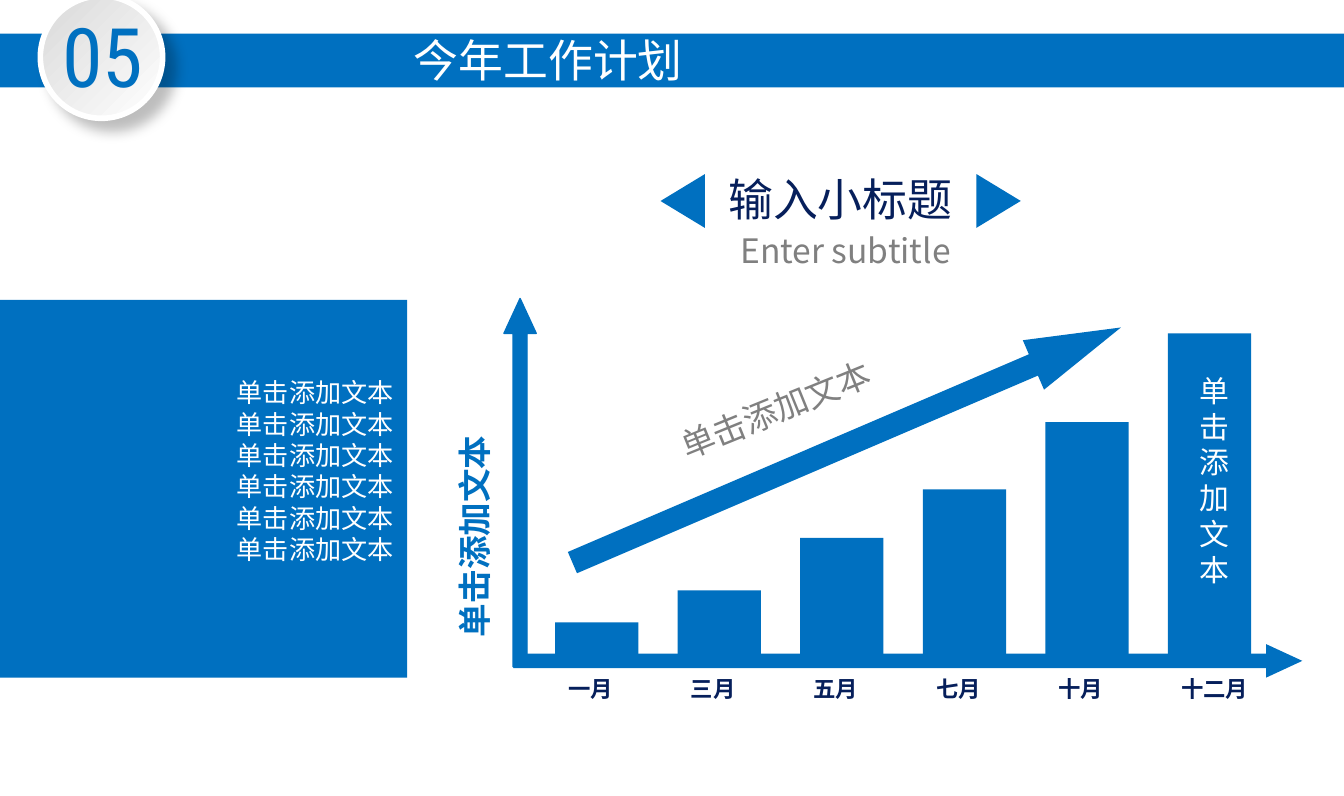
import lxml.etree
import pptx
import pptx.dml.color
import pptx.enum.shapes
import pptx.enum.text
import pptx.oxml
import pptx.oxml.ns
import pptx.util

KIND = pptx.enum.shapes.MSO_SHAPE
ALIGN = pptx.enum.text.PP_ALIGN
ANCHOR = pptx.enum.text.MSO_ANCHOR
SANS, ROBOTO = "Noto Sans CJK SC", "Roboto Condensed"
BLUE, NAVY, GREY, WHITE = "0070C0", "061F5B", "808080", "FFFFFF"
COLS, ROWS = 100, 59.2
PROMPT = "单击添加文本"


def color(code):
    return pptx.dml.color.RGBColor.from_string(code)


class Board:
    """Places elements on a grid of COLS by ROWS square cells."""

    def __init__(self, deck):
        self.cell = deck.slide_width / COLS
        self.slide = deck.slides.add_slide(deck.slide_layouts[6])

    def box(self, *sides):
        return [round(side * self.cell) for side in sides]

    def shape(self, kind, x, y, w, h, turn=0, adjust=(), line=None):
        item = self.slide.shapes.add_shape(kind, *self.box(x, y, w, h))
        item.shadow.inherit = False
        item.rotation = turn
        for i, value in enumerate(adjust):
            item.adjustments[i] = value
        item.fill.solid()
        item.fill.fore_color.rgb = color(BLUE)
        if line:
            item.line.color.rgb = color(line)
            item.line.width = pptx.util.Pt(0.75)
        else:
            item.line.fill.background()
        return item

    def label(self, item, lines, size, ink, font=SANS, bold=False,
              align=ALIGN.LEFT, anchor=ANCHOR.TOP, wrap=True, top=0.5):
        frame = item.text_frame
        frame.word_wrap = wrap
        frame.vertical_anchor = anchor
        frame.margin_top = self.box(top)[0]
        for i, line in enumerate(lines):
            para = frame.add_paragraph() if i else frame.paragraphs[0]
            para.alignment = align
            para.line_spacing = pptx.util.Pt(size * 1.2)
            run = para.add_run()
            run.text = line
            run.font.size = pptx.util.Pt(size)
            run.font.bold = bold
            run.font.name = font
            run.font.color.rgb = color(ink)
            east = lxml.etree.SubElement(run.font._element, pptx.oxml.ns.qn("a:ea"))
            east.set("typeface", font)

    def text(self, x, y, w, h, words, size, ink, turn=0, **style):
        item = self.slide.shapes.add_textbox(*self.box(x, y, w, h))
        item.rotation = turn
        self.label(item, [words], size, ink, **style)

    def badge(self, x, y, side):
        """Draws a raised disc with a gradient and a soft shadow."""
        disc = self.shape(KIND.OVAL, x, y, side, side)
        disc.fill.gradient()
        disc.fill.gradient_angle = 315
        shades = ("D9D9D9", WHITE)
        for place, stop in enumerate(disc.fill.gradient_stops):
            stop.color.rgb = color(shades[place])
            stop.position = place
        disc.line.color.rgb = color(WHITE)
        disc.line.width = pptx.util.Pt(3)
        effects = disc._element.spPr.find(pptx.oxml.ns.qn("a:effectLst"))
        effects.append(pptx.oxml.parse_xml(
            f'<a:outerShdw {pptx.oxml.ns.nsdecls("a")} blurRad="88900" '
            'dist="101600" dir="2700000" algn="tl" rotWithShape="0">'
            '<a:srgbClr val="000000"><a:alpha val="25000"/></a:srgbClr>'
            '</a:outerShdw>'))


def draw(board):
    # Subtitle between two pointers
    board.text(53.2, 12.3, 18.8, 5, "输入小标题", 24, NAVY, wrap=False)
    board.text(54.1, 16.6, 18.1, 4, "Enter subtitle", 18, GREY, wrap=False)
    for x, turn in ((48.8, 270), (72.3, 90)):
        board.shape(KIND.ISOSCELES_TRIANGLE, x, 13.3, 4, 3.3, turn)

    panel = board.shape(KIND.RECTANGLE, 0, 22.3, 30.3, 28.1)
    board.label(panel, [PROMPT] * 6, 14, WHITE, align=ALIGN.RIGHT, top=5.7)

    # Axes
    head = (0.43, 1.08)
    board.shape(KIND.RIGHT_ARROW, 25, 34.7, 27.4, 2.4, 270, head, BLUE)
    board.shape(KIND.RIGHT_ARROW, 38.2, 47.9, 58.7, 2.5, 0, head)
    board.text(26.7, 38, 17.2, 4, PROMPT, 18, BLUE, 270, bold=True,
               align=ALIGN.RIGHT, wrap=False)

    # Month bars
    base, first, step, wide = 48.7, 41.3, 9.12, 6.2
    months = {"一月": 2.4, "三月": 4.8, "五月": 8.7,
              "七月": 12.3, "十月": 17.3, "十二月": 23.9}
    for i, (month, tall) in enumerate(months.items()):
        x = first + i * step
        board.shape(KIND.RECTANGLE, x, base - tall, wide, tall)
        room = wide + (len(month) - 2)
        board.text(x, 49.7, room, 3, month, 12, NAVY, bold=True)
    note = board.shape(KIND.RECTANGLE, 88.3, 27.2, 3.4, 17.2)
    board.label(note, [PROMPT], 16, WHITE, align=ALIGN.CENTER)

    # Trend
    board.shape(KIND.RIGHT_ARROW, 40.8, 31.1, 44.4, 4, 336.8, (0.43, 1.77))
    board.text(49, 28.5, 17.2, 4, PROMPT, 18, GREY, 337.9,
               align=ALIGN.RIGHT, wrap=False)

    # Header
    board.shape(KIND.RECTANGLE, 0, 2.5, COLS, 4)
    board.badge(3, -0.3, 9.1)
    board.text(3.5, -0.1, 8.3, 8.4, "05", 44, BLUE, font=ROBOTO,
               align=ALIGN.CENTER)
    board.text(21.3, 1.6, 39, 5.6, "今年工作计划", 24, WHITE,
               align=ALIGN.CENTER, anchor=ANCHOR.MIDDLE)


def main():
    deck = pptx.Presentation()
    deck.slide_width = pptx.util.Inches(10)
    deck.slide_height = round(deck.slide_width * ROWS / COLS)
    draw(Board(deck))
    deck.save("out.pptx")


if __name__ == "__main__":
    main()
